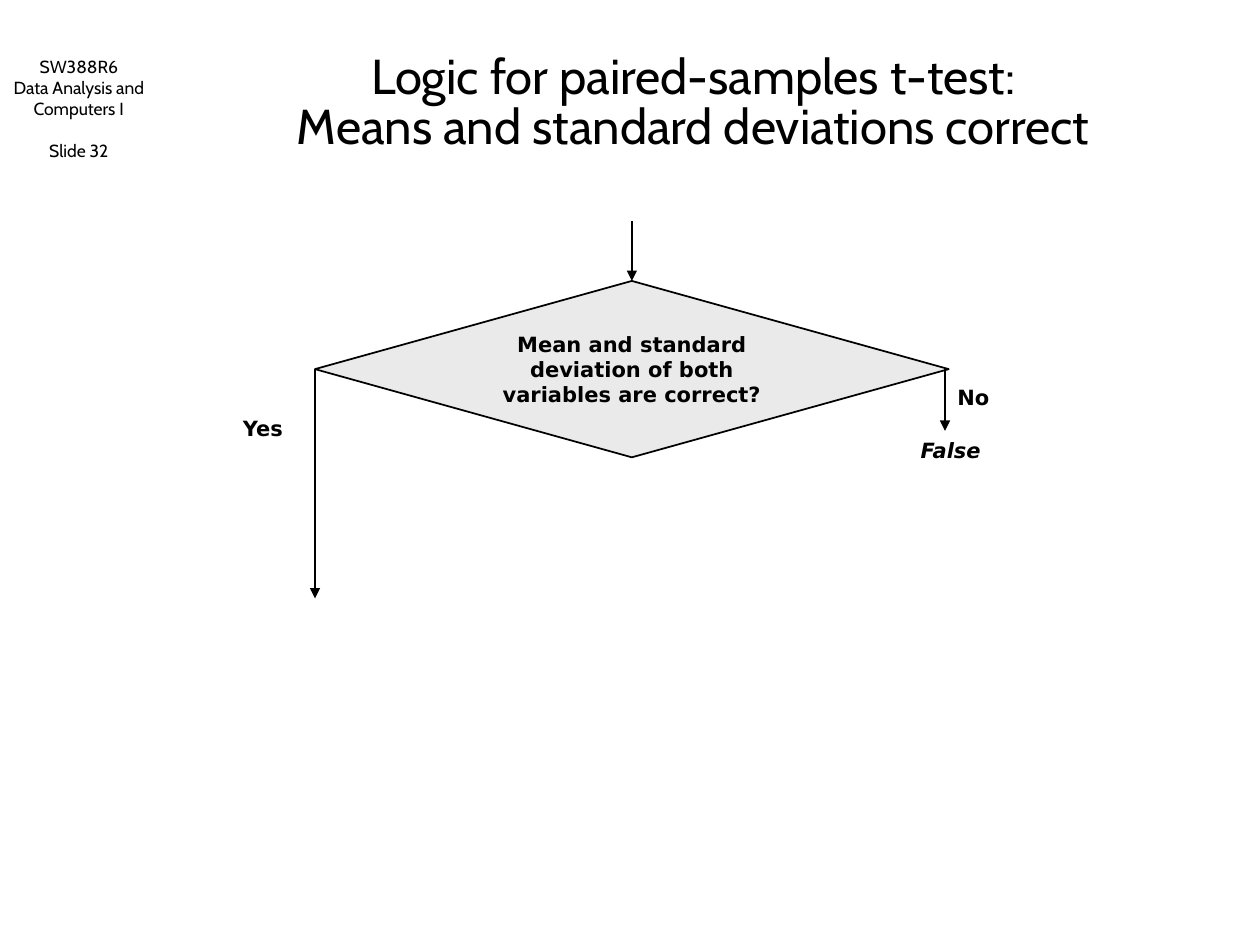
"""Build the decision slide for the paired-samples t-test."""
from typing import NamedTuple, Optional

from lxml.etree import SubElement
from pptx import Presentation
from pptx.dml.color import RGBColor
from pptx.enum.shapes import MSO_CONNECTOR, MSO_SHAPE
from pptx.enum.text import MSO_ANCHOR, PP_ALIGN
from pptx.oxml.ns import qn
from pptx.util import Inches, Pt

BLACK = RGBColor(0x00, 0x00, 0x00)
GREY = RGBColor(0xEA, 0xEA, 0xEA)
HEAD = "Cabin"
BODY = "DejaVu Sans"


class Box(NamedTuple):
    left: float
    top: float
    width: float
    height: float


class Label(NamedTuple):
    text: str
    box: Box
    align: PP_ALIGN = PP_ALIGN.LEFT
    italic: bool = False


class Arrow(NamedTuple):
    x: float
    top: float
    end: float
    begin_site: Optional[int] = None
    end_site: Optional[int] = None


DIAMOND = Box(2.5, 2.23, 5.03, 1.4)
MIDDLE = DIAMOND.left + DIAMOND.width / 2
LABELS = [
    Label("Yes", Box(1.83, 3.25, 0.58, 0.3)),
    Label("No", Box(7.5, 3, 0.58, 0.3)),
    Label("False", Box(7.17, 3.42, 0.75, 0.3), PP_ALIGN.CENTER, True),
]
ARROWS = [
    Arrow(MIDDLE, 1.75, DIAMOND.top, end_site=0),
    Arrow(DIAMOND.left, 2.92, 4.75, begin_site=1),
    Arrow(7.5, 2.92, 3.42),
]


def write(shape, *lines: str, font: str = BODY, size: float = 12,
          bold: bool = False, italic: bool = False,
          align: PP_ALIGN = PP_ALIGN.CENTER,
          anchor: MSO_ANCHOR = MSO_ANCHOR.TOP,
          spacing: Optional[float] = None) -> None:
    frame = shape.text_frame
    frame.word_wrap = True
    frame.vertical_anchor = anchor
    for index, line in enumerate(lines):
        para = frame.add_paragraph() if index else frame.paragraphs[0]
        para.alignment = align
        para.line_spacing = spacing
        for part, words in enumerate(line.split("\n")):
            if part:
                para.add_line_break()
            run = para.add_run()
            run.text = words
            run.font.name = font
            run.font.size = Pt(size)
            run.font.bold = bold
            run.font.italic = italic
            run.font.color.rgb = BLACK


def add_text(slide, box: Box, *lines: str, **style):
    shape = slide.shapes.add_textbox(*map(Inches, box))
    write(shape, *lines, **style)
    return shape


def add_choice(slide, box: Box, text: str):
    shape = slide.shapes.add_shape(
        MSO_SHAPE.FLOWCHART_DECISION, *map(Inches, box))
    shape.shadow.inherit = False
    shape.fill.solid()
    shape.fill.fore_color.rgb = GREY
    shape.line.color.rgb = BLACK
    shape.line.width = Pt(1)
    write(shape, text, bold=True, anchor=MSO_ANCHOR.MIDDLE)
    return shape


def add_arrow(slide, arrow: Arrow, choice) -> None:
    line = slide.shapes.add_connector(
        MSO_CONNECTOR.STRAIGHT, Inches(arrow.x), Inches(arrow.top),
        Inches(arrow.x), Inches(arrow.end))
    if arrow.begin_site is not None:
        line.begin_connect(choice, arrow.begin_site)
    if arrow.end_site is not None:
        line.end_connect(choice, arrow.end_site)
    line.line.color.rgb = BLACK
    line.line.width = Pt(1)
    SubElement(line.line._get_or_add_ln(), qn("a:tailEnd"), type="triangle")
    SubElement(line._element.spPr, qn("a:effectLst"))


def main() -> None:
    deck = Presentation()
    deck.slide_width, deck.slide_height = Inches(10), Inches(7.5)
    slide = deck.slides.add_slide(deck.slide_layouts[6])

    course = add_text(
        slide, Box(0, 0.33, 1.25, 1), "SW388R6",
        "Data Analysis and Computers I", "Slide 32",
        font=HEAD, size=10, anchor=MSO_ANCHOR.BOTTOM)
    course.text_frame.paragraphs[-1].space_before = Pt(12)
    add_text(
        slide, Box(1.25, 0.33, 8.5, 1),
        "Logic for paired-samples t-test:\nMeans and standard deviations correct",
        font=HEAD, size=28, anchor=MSO_ANCHOR.MIDDLE, spacing=0.85)

    choice = add_choice(
        slide, DIAMOND,
        "Mean and standard deviation of both variables are correct?")
    for arrow in ARROWS:
        add_arrow(slide, arrow, choice)
    for label in LABELS:
        add_text(slide, label.box, label.text, bold=True,
                 italic=label.italic, align=label.align)

    deck.save("out.pptx")


if __name__ == "__main__":
    main()
